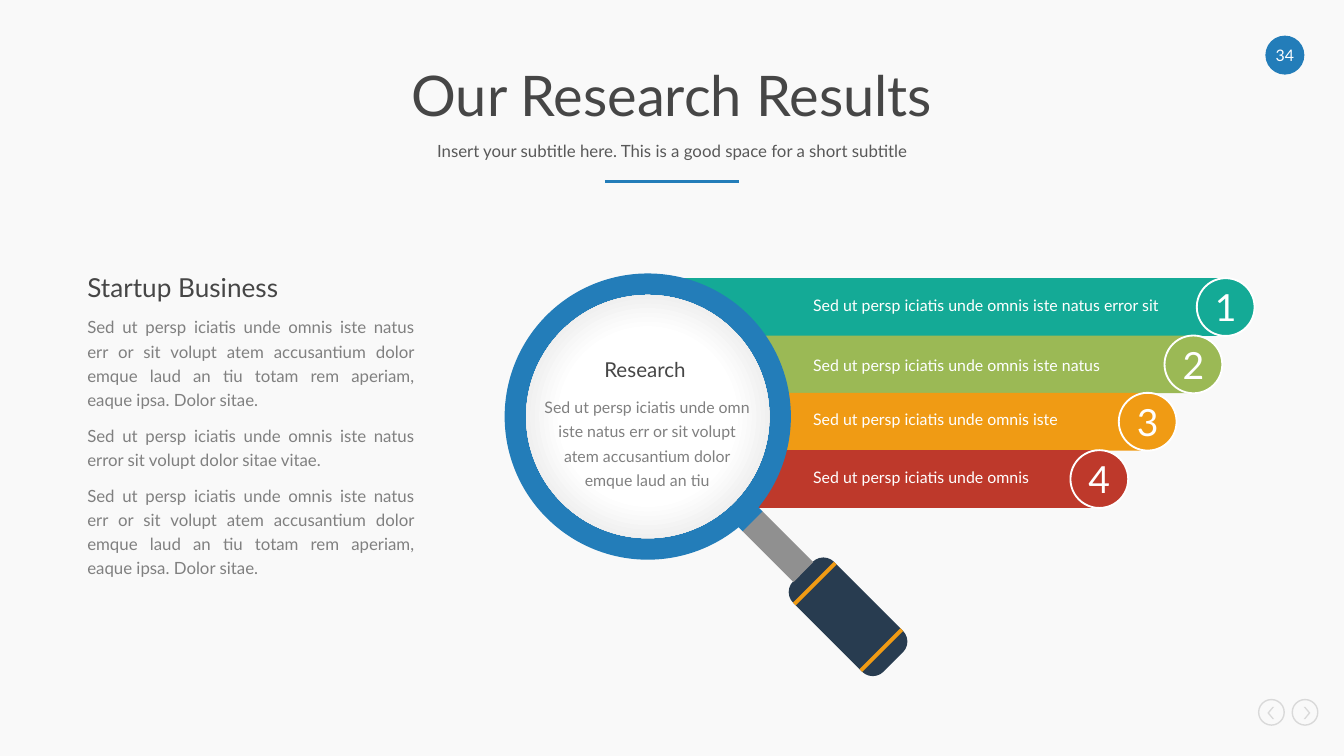
from dataclasses import dataclass
from math import sqrt

from lxml.etree import SubElement
from pptx import Presentation
from pptx.dml.color import RGBColor
from pptx.enum.shapes import MSO_CONNECTOR, MSO_SHAPE
from pptx.enum.text import MSO_ANCHOR, MSO_AUTO_SIZE, PP_ALIGN
from pptx.oxml import parse_xml
from pptx.oxml.ns import nsdecls, qn
from pptx.util import Inches, Pt


@dataclass(frozen=True)
class Theme:
    font: str = "Lato"
    background: str = "F9F9F9"
    blue: str = "237DB9"
    teal: str = "14AA96"
    green: str = "9BB955"
    orange: str = "F09B14"
    red: str = "BE392B"
    navy: str = "283C50"
    gray: str = "909090"
    pale: str = "D9D9D9"
    white: str = "FFFFFF"
    heading: str = "464646"
    subtitle: str = "595959"
    body: str = "808080"
    title_size: float = 30
    number_size: float = 20
    section_size: float = 14
    lens_size: float = 11
    body_size: float = 9
    small_size: float = 8.5


THEME = Theme()
ROW_TOP, ROW_STEP, ROW_HEIGHT = 2.07, 1.28 / 3, 0.43
BAND_LEFT, LABEL_LEFT = 5.08, 6.05
LENS_CENTER = (4.82, 3.1)
GRIP_CENTER = (6.31, 4.59)
ROWS = [
    (THEME.teal, 9.12, 2.2, "Sed ut persp iciatis unde omnis iste natus error sit"),
    (THEME.green, 8.88, 2.65, "Sed ut persp iciatis unde omnis iste natus"),
    (THEME.orange, 8.54, 3.05, "Sed ut persp iciatis unde omnis iste"),
    (THEME.red, 8.18, 3.48, "Sed ut persp iciatis unde omnis"),
]
LONG_TEXT = ("Sed ut persp iciatis unde omnis iste natus err or sit volupt atem "
             "accusantium dolor emque laud an tiu totam rem aperiam, eaque ipsa. Dolor sitae.")
SHORT_TEXT = "Sed ut persp iciatis unde omnis iste natus error sit volupt dolor sitae vitae."
LENS_TEXT = ("Sed ut persp iciatis unde omn iste natus err or sit volupt "
             "atem accusantium dolor emque laud an tiu")


def apply_format(target, values):
    for name, value in values.items():
        setattr(target, name, value)


def write_text(shape, texts, size, color, wrap=True, anchor=MSO_ANCHOR.TOP, **paragraph_format):
    frame = shape.text_frame
    apply_format(frame, {
        "margin_left": 0, "margin_right": 0, "margin_top": 0, "margin_bottom": 0,
        "word_wrap": wrap, "auto_size": MSO_AUTO_SIZE.NONE, "vertical_anchor": anchor,
    })
    frame.text = "\n".join(texts)
    for paragraph in frame.paragraphs:
        apply_format(paragraph, paragraph_format)
        apply_format(paragraph.font, {"name": THEME.font, "size": Pt(size), "bold": False})
        paragraph.font.color.rgb = RGBColor.from_string(color)


def add_text(slide, box, texts, size, color, **text_format):
    shape = slide.shapes.add_textbox(*map(Inches, box))
    write_text(shape, texts, size, color, **text_format)


def add_shape(slide, kind, box, fill=None, line=None, line_width=1):
    shape = slide.shapes.add_shape(kind, *map(Inches, box))
    shape.shadow.inherit = False
    if fill:
        shape.fill.solid()
        shape.fill.fore_color.rgb = RGBColor.from_string(fill)
    else:
        shape.fill.background()
    if line:
        shape.line.color.rgb = RGBColor.from_string(line)
        shape.line.width = Pt(line_width)
    else:
        shape.line.fill.background()
    return shape


def add_circle(slide, center, diameter, fill=None, **line_format):
    x, y = center
    box = (x - diameter / 2, y - diameter / 2, diameter, diameter)
    return add_shape(slide, MSO_SHAPE.OVAL, box, fill, **line_format)


def add_number(slide, center, diameter, number, size, fill, **line_format):
    circle = add_circle(slide, center, diameter, fill, **line_format)
    write_text(circle, [number], size, THEME.white, wrap=False,
               anchor=MSO_ANCHOR.MIDDLE, alignment=PP_ALIGN.CENTER)


def add_handle_part(slide, kind, offset, length, width, fill):
    x, y = (value + offset / sqrt(2) for value in GRIP_CENTER)
    shape = add_shape(slide, kind, (x - length / 2, y - width / 2, length, width), fill)
    shape.rotation = 45
    return shape


def add_header(slide):
    title = slide.shapes.title
    apply_format(title, {"left": Inches(0.65), "top": Inches(0.48),
                         "width": Inches(8.7), "height": Inches(0.5)})
    centered = {"anchor": MSO_ANCHOR.MIDDLE, "alignment": PP_ALIGN.CENTER, "line_spacing": 0.9}
    write_text(title, ["Our Research Results"], THEME.title_size, THEME.heading, **centered)
    add_text(slide, (0.65, 1.01, 8.7, 0.25),
             ["Insert your subtitle here. This is a good space for a short subtitle"],
             THEME.body_size, THEME.subtitle, **centered)
    rule = slide.shapes.add_connector(
        MSO_CONNECTOR.STRAIGHT, Inches(4.5), Inches(1.35), Inches(5.5), Inches(1.35))
    rule.line.color.rgb = RGBColor.from_string(THEME.blue)
    rule.line.width = Pt(1.5)
    SubElement(rule._element.spPr, qn("a:effectLst"))
    add_number(slide, (9.56, 0.41), 0.29, "34", THEME.small_size, THEME.blue)


def add_navigation(slide):
    for center, chevron_left, rotation in ((9.46, 9.43, 180), (9.71, 9.7, 0)):
        chevron = add_shape(slide, MSO_SHAPE.CHEVRON, (chevron_left, 5.26, 0.05, 0.09), THEME.pale)
        chevron.adjustments[0] = 0.75
        chevron.rotation = rotation
        add_circle(slide, (center, 5.3), 0.19, line=THEME.pale, line_width=0.75)


def add_left_column(slide):
    add_text(slide, (0.65, 2.33, 2.43, 1.97), [LONG_TEXT, SHORT_TEXT, LONG_TEXT],
             THEME.body_size, THEME.body, alignment=PP_ALIGN.JUSTIFY,
             line_spacing=Pt(13), space_after=Pt(6))
    add_text(slide, (0.65, 2.02, 2.42, 0.29), ["Startup Business"],
             THEME.section_size, THEME.heading, alignment=PP_ALIGN.JUSTIFY)


def add_rows(slide):
    for index, (color, end, label_top, label) in enumerate(ROWS):
        top = ROW_TOP + index * ROW_STEP
        add_shape(slide, MSO_SHAPE.RECTANGLE, (BAND_LEFT, top, end - BAND_LEFT, ROW_HEIGHT), color)
        add_text(slide, (LABEL_LEFT, label_top, end - LABEL_LEFT - 0.22, 0.14), [label],
                 THEME.small_size, THEME.white, wrap=False, line_spacing=Pt(10))
    for index, (color, end, _, _) in enumerate(ROWS):
        middle = ROW_TOP + index * ROW_STEP + ROW_HEIGHT / 2
        add_number(slide, (end, middle), ROW_HEIGHT, str(index + 1),
                   THEME.number_size, color, line=THEME.white)


def add_magnifier(slide):
    grip = add_handle_part(slide, MSO_SHAPE.ROUNDED_RECTANGLE, 0, 0.95, 0.43, THEME.navy)
    grip.adjustments[0] = 0.26
    for offset, length, width, color in (
        (-0.35, 0.03, 0.43, THEME.orange),
        (0.35, 0.03, 0.43, THEME.orange),
        (-0.74, 0.54, 0.21, THEME.gray),
        (-1.03, 0.05, 0.21, THEME.blue),
    ):
        add_handle_part(slide, MSO_SHAPE.RECTANGLE, offset, length, width, color)
    add_circle(slide, LENS_CENTER, 2.13, THEME.blue)
    lens = add_circle(slide, LENS_CENTER, 1.81, THEME.white)
    stops = "".join(
        f'<a:gs pos="{position}"><a:srgbClr val="{color}"/></a:gs>'
        for position, color in ((0, THEME.white), (50000, THEME.white), (100000, THEME.pale)))
    gradient = parse_xml(
        f'<a:gradFill {nsdecls("a")} rotWithShape="1"><a:gsLst>{stops}</a:gsLst><a:path path="circle">'
        '<a:fillToRect l="50000" t="50000" r="50000" b="50000"/></a:path></a:gradFill>')
    properties = lens._element.spPr
    properties.replace(properties.find(qn("a:solidFill")), gradient)
    add_text(slide, (4.05, 2.66, 1.5, 0.24), ["Research"], THEME.lens_size, THEME.heading,
             alignment=PP_ALIGN.CENTER)
    add_text(slide, (4.02, 2.92, 1.59, 0.71), [LENS_TEXT], THEME.small_size, THEME.body,
             alignment=PP_ALIGN.CENTER, line_spacing=Pt(13))


def main():
    presentation = Presentation()
    presentation.slide_width = Inches(10)
    presentation.slide_height = presentation.slide_width * 9 // 16
    slide = presentation.slides.add_slide(presentation.slide_layouts[5])
    slide.background.fill.solid()
    slide.background.fill.fore_color.rgb = RGBColor.from_string(THEME.background)
    add_header(slide)
    add_navigation(slide)
    add_left_column(slide)
    add_rows(slide)
    add_magnifier(slide)
    presentation.save("out.pptx")


if __name__ == "__main__":
    main()
